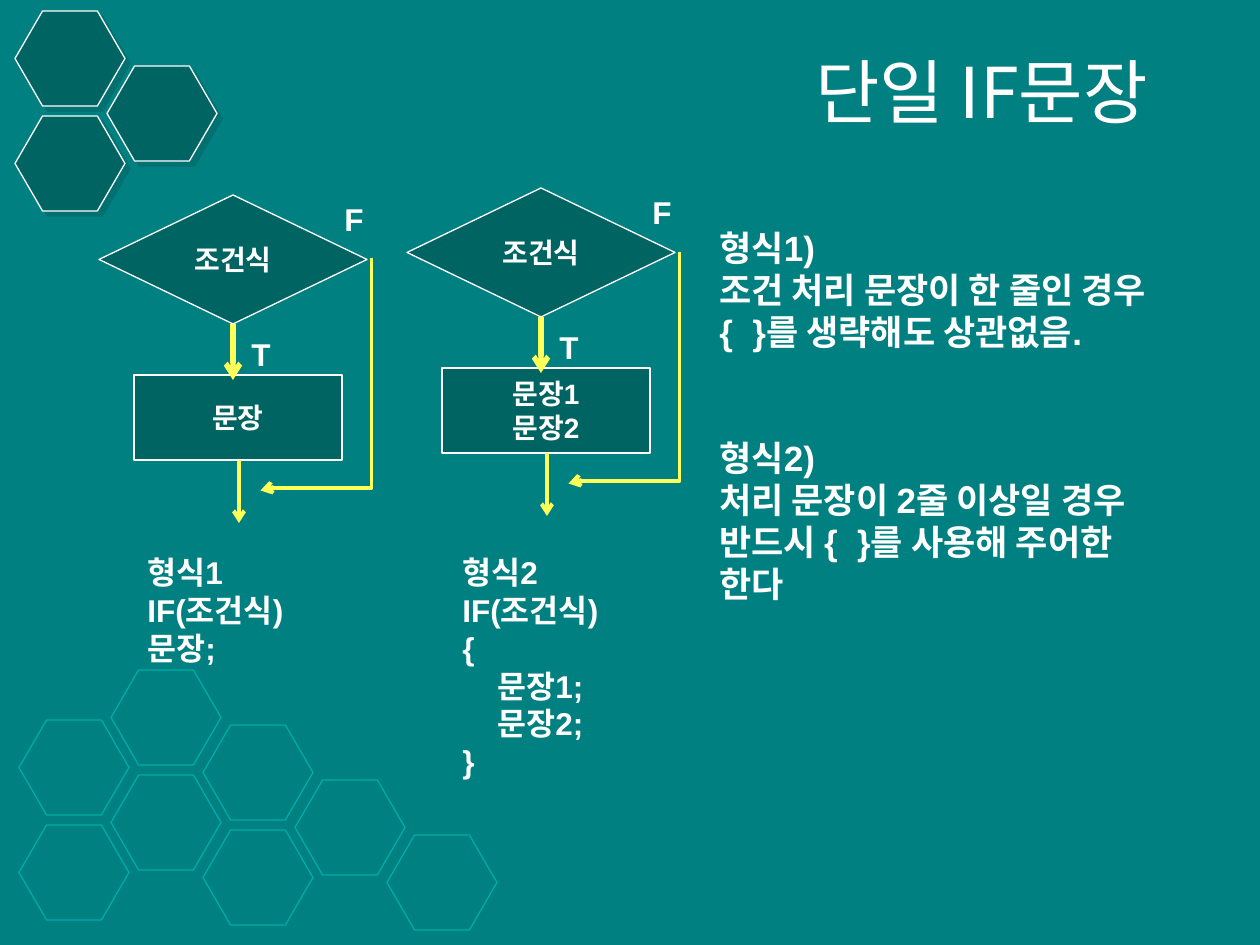
import pptx
import pptx.dml.color
import pptx.enum.shapes
import pptx.enum.text
import pptx.oxml
import pptx.oxml.ns
import pptx.util

SHAPE = pptx.enum.shapes.MSO_SHAPE
LINK = pptx.enum.shapes.MSO_CONNECTOR
ALIGN = pptx.enum.text.PP_ALIGN
ANCHOR = pptx.enum.text.MSO_ANCHOR
KOREAN = "Noto Sans CJK KR"
DARK, WHITE, YELLOW, TEAL = "006462", "FFFFFF", "FFFF59", "00ACA8"


def px(count):
    """Turn pixels into EMU."""
    return pptx.util.Emu(round(count * 914400 / 126))


def paint(target, color):
    """Give a fill, line or font colour from a hex string."""
    target.rgb = pptx.dml.color.RGBColor.from_string(color)


def add_xml(parent, body):
    """Append an element in the drawing namespace."""
    space = pptx.oxml.ns.nsdecls("a")
    tag, rest = body.split(" ", 1)
    parent.append(pptx.oxml.parse_xml(f"<{tag} {space} {rest}"))


def write(shape, text, size, align=ALIGN.LEFT, bold=True, font="Arial", wrap=True):
    """Set text and format every run."""
    frame = shape.text_frame
    frame.text = text
    frame.word_wrap = wrap
    for para in frame.paragraphs:
        para.alignment = align
        for run in para.runs:
            run.font.size = pptx.util.Pt(size)
            run.font.bold = bold
            run.font.name = font
            paint(run.font.color, WHITE)
            add_xml(run.font._element, f'a:ea typeface="{KOREAN}"/>')
    return frame


def label(slide, box, text, size, **style):
    """Place a text box."""
    return write(slide.shapes.add_textbox(*map(px, box)), text, size, **style)


def block(slide, kind, box, fill=DARK, line=WHITE):
    """Place an outlined shape."""
    shape = slide.shapes.add_shape(kind, *map(px, box))
    shape.shadow.inherit = False
    if fill:
        shape.fill.solid()
        paint(shape.fill.fore_color, fill)
    else:
        shape.fill.background()
    paint(shape.line.color, line)
    shape.line.width = pptx.util.Pt(0.75)
    return shape


def arrow(slide, kind, start, end, width):
    """Place a yellow connector with an arrowhead."""
    link = slide.shapes.add_connector(kind, *map(px, start + end))
    paint(link.line.color, YELLOW)
    link.line.width = pptx.util.Pt(width)
    add_xml(link.line._get_or_add_ln(), 'a:tailEnd type="arrow"/>')
    add_xml(link._element.spPr, "a:effectLst />")
    return link


def comb(slide, left, top, cells, fill, line, shade=False):
    """Place hexagons on a staggered grid of columns and rows."""
    for col, row in cells:
        box = left + 92 * col, top + 55 * col + 105 * row, 110, 95
        shape = block(slide, SHAPE.HEXAGON, box, fill, line)
        shape.adjustments[0] = 0.29
        if shade:
            add_xml(
                shape._element.spPr.find(pptx.oxml.ns.qn("a:effectLst")),
                'a:outerShdw dist="53340" dir="2700000" algn="ctr" rotWithShape="0">'
                f'<a:srgbClr val="{DARK}"><a:alpha val="50000"/></a:srgbClr>'
                "</a:outerShdw>",
            )


def flow(slide, left, top, body):
    """Draw one IF flow chart from its top left corner."""

    def spot(x, y):
        return left + x, top + y

    test = block(slide, SHAPE.FLOWCHART_DECISION, (*spot(0, 0), 268, 129))
    step = block(slide, SHAPE.RECTANGLE, (*spot(35, 180), 208, 85))
    for shape, text in ((test, "조건식"), (step, body)):
        write(shape, text, 16, ALIGN.CENTER).vertical_anchor = ANCHOR.MIDDLE
    arrow(slide, LINK.STRAIGHT, spot(134, 129), spot(134, 185), 3)
    label(slide, (*spot(140, 134), 45, 50), "T", 18, wrap=False)
    label(slide, (*spot(233, -1), 45, 50), "F", 18, wrap=False)
    skip = arrow(slide, LINK.ELBOW, spot(101, 124), spot(333, 235), 2.25)
    skip._element.spPr.xfrm.set("rot", "5400000")
    guides = skip._element.spPr.prstGeom.get_or_add_avLst()
    add_xml(guides, 'a:gd name="adj1" fmla="val 98800"/>')
    arrow(slide, LINK.STRAIGHT, spot(140, 265), spot(140, 328), 2.25)


def code(slide, box, lines, inner=()):
    """Write a syntax sample, with inner lines indented."""
    frame = label(slide, box, "\n".join(lines), 18)
    for index in inner:
        frame.paragraphs[index]._p.get_or_add_pPr().set("marL", str(px(35)))


def notes(slide, box):
    """Write the explanation of both forms."""
    lines = (
        "형식1)",
        "조건 처리 문장이 한 줄인 경우",
        "{  }를 생략해도 상관없음.",
        "형식2)",
        "처리 문장이 2줄 이상일 경우\v반드시 {  }를 사용해 주어한\v한다",
    )
    frame = label(slide, box, "\n".join(lines), 20)
    frame.paragraphs[3].space_before = pptx.util.Pt(48)


def main():
    """Build and save the slide."""
    deck = pptx.Presentation()
    deck.slide_width, deck.slide_height = px(1260), px(945)
    slide = deck.slides.add_slide(deck.slide_layouts[6])
    slide.background.fill.solid()
    paint(slide.background.fill.fore_color, "008080")
    low = ((2, 1), (2, 0), (3, 0), (4, 0), (1, 1), (1, 0), (0, 1), (0, 2))
    comb(slide, 19, 615, low, None, TEAL)
    comb(slide, 15, 11, ((0, 1), (0, 0), (1, 0)), DARK, WHITE, True)
    title = label(slide, (233, 35, 927, 110), "단일 IF문장", 40,
                  align=ALIGN.RIGHT, bold=False, font=KOREAN)
    title.vertical_anchor = ANCHOR.MIDDLE
    flow(slide, 99, 195, "문장")
    flow(slide, 407, 188, "문장1\n문장2")
    code(slide, (135, 547, 169, 127), ("형식1", "IF(조건식)", "문장;"))
    code(slide, (450, 547, 169, 280),
         ("형식2", "IF(조건식)", "{", "문장1;", "문장2;", "}"), (3, 4))
    notes(slide, (707, 220, 490, 394))
    deck.save("out.pptx")


if __name__ == "__main__":
    main()
